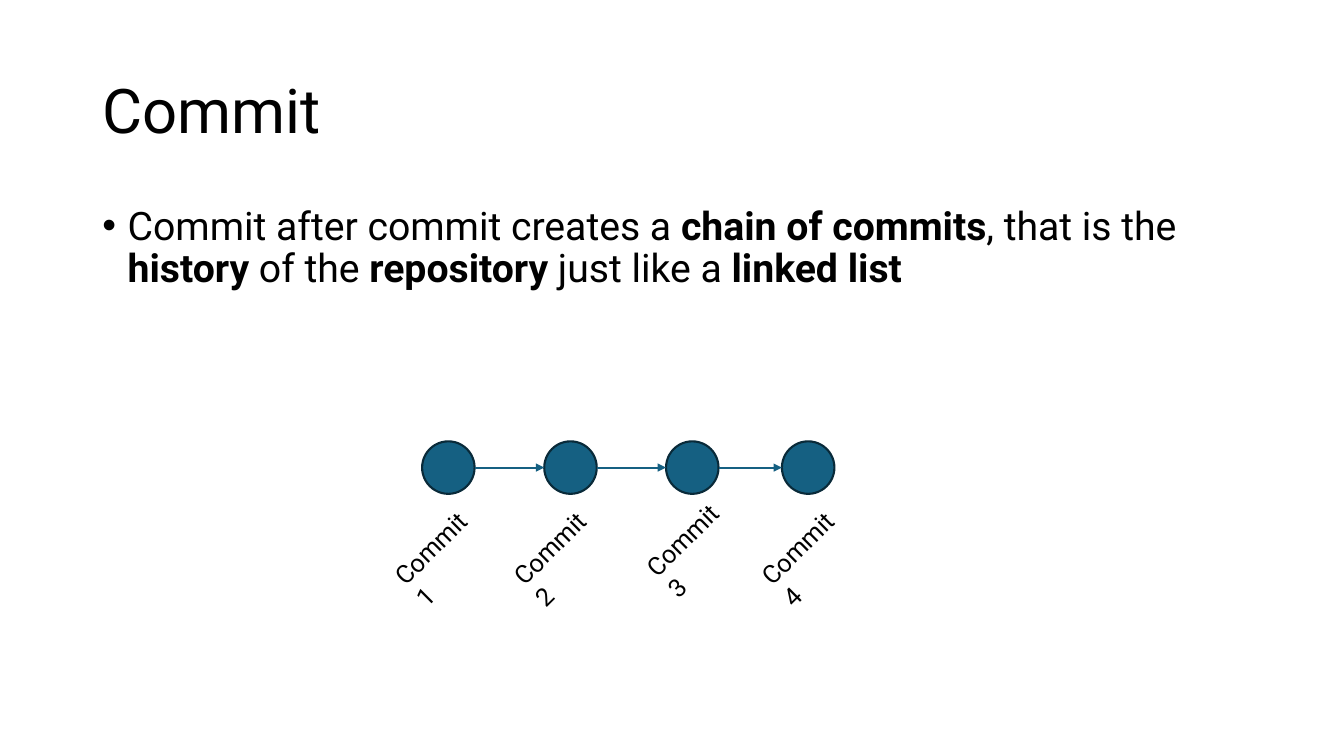
from lxml import etree
from pptx import Presentation
from pptx.dml.color import RGBColor
from pptx.enum import shapes, text
from pptx.oxml.ns import qn
from pptx.util import Pt

# Content; a run is (text, bold)
TITLE = [("Commit", False)]
BODY = [
    ("Commit after commit creates a ", False), ("chain of commits", True),
    (", that is the ", False), ("history", True), (" of the ", False),
    ("repository", True), (" just like a ", False), ("linked list", True),
]
# Label, circle left, label left, label top
COMMITS = [
    ("Commit 1", 301.5, 266.5, 372.25),
    ("Commit 2", 388.75, 351.5, 372.25),
    ("Commit 3", 475.75, 446.25, 366.5),
    ("Commit 4", 558.5, 528.5, 372.25),
]

# Layout in points
LEFT, WIDTH = 66, 828
CIRCLE, CIRCLE_TOP = 37.5, 315.25
LABEL_W, LABEL_H, LABEL_ANGLE = 91.5, 29, 315.2
FONT, BLACK, BLUE, NAVY = "Roboto", "000000", "156082", "092A39"


def rgb(value):
    return RGBColor.from_string(value)


def write(sp, runs, size, color=BLACK, anchor=text.MSO_ANCHOR.TOP, spacing=1.0, bullet=None):
    tf = sp.text_frame
    tf.word_wrap = True
    tf.auto_size = text.MSO_AUTO_SIZE.NONE
    tf.vertical_anchor = anchor
    p = tf.paragraphs[0]
    p.alignment = text.PP_ALIGN.LEFT
    p.line_spacing, p.space_before = spacing, Pt(0)
    if bullet:
        pPr = p._p.get_or_add_pPr()
        pPr.set("marL", str(Pt(18)))
        pPr.set("indent", str(Pt(-18)))
        etree.SubElement(pPr, qn("a:buFont"), typeface="Arial")
        etree.SubElement(pPr, qn("a:buChar"), char=bullet)
    for words, bold in runs:
        r = p.add_run()
        r.text = words
        r.font.name, r.font.size, r.font.bold = FONT, Pt(size), bold
        r.font.color.rgb = rgb(color)


def place(sp, left, top, width, height):
    sp.left, sp.top, sp.width, sp.height = Pt(left), Pt(top), Pt(width), Pt(height)


def add_arrow(slide, start, end, y):
    line = slide.shapes.add_connector(
        shapes.MSO_CONNECTOR.STRAIGHT, Pt(start), Pt(y), Pt(end), Pt(y))
    line.line.color.rgb, line.line.width = rgb(BLUE), Pt(1.5)
    etree.SubElement(line.line._get_or_add_ln(), qn("a:tailEnd"), type="triangle")
    etree.SubElement(line._element.spPr, qn("a:effectLst"))


prs = Presentation()
prs.slide_width, prs.slide_height = Pt(960), Pt(540)
s = prs.slides.add_slide(prs.slide_layouts[1])

# Title and bullet
title, body = s.placeholders
place(title, LEFT, 28.75, WIDTH, 104.5)
write(title, TITLE, 44, anchor=text.MSO_ANCHOR.MIDDLE, spacing=0.9)
place(body, LEFT, 143.75, WIDTH, 342.75)
write(body, BODY, 28, spacing=0.9, bullet="•")

# Commit circles and their slanted labels
for label, left, label_left, label_top in COMMITS:
    sp = s.shapes.add_shape(shapes.MSO_SHAPE.OVAL, Pt(left), Pt(CIRCLE_TOP), Pt(CIRCLE), Pt(CIRCLE))
    sp.shadow.inherit = False
    sp.fill.solid()
    sp.fill.fore_color.rgb = rgb(BLUE)
    sp.line.color.rgb, sp.line.width = rgb(NAVY), Pt(1.5)
    box = s.shapes.add_textbox(Pt(label_left), Pt(label_top), Pt(LABEL_W), Pt(LABEL_H))
    box.rotation = LABEL_ANGLE
    write(box, [(label, False)], 18)

# Arrows between neighbouring circles
for a, b in zip(COMMITS, COMMITS[1:]):
    add_arrow(s, a[1] + CIRCLE, b[1], CIRCLE_TOP + CIRCLE / 2)

prs.save("out.pptx")
